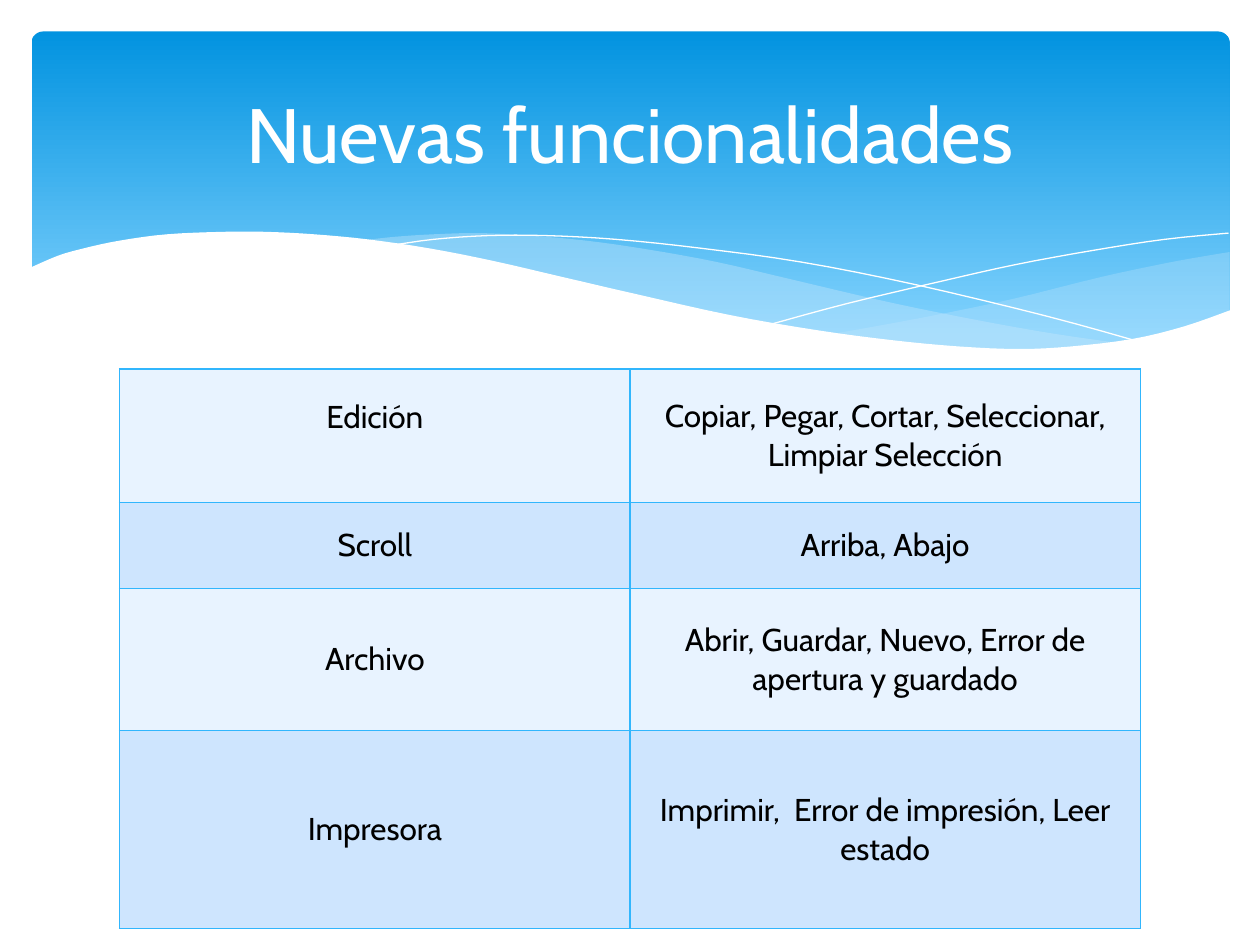
from dataclasses import dataclass

from lxml.etree import SubElement
from pptx import Presentation
from pptx.dml.color import RGBColor
from pptx.enum.shapes import MSO_SHAPE
from pptx.enum.text import MSO_ANCHOR, PP_ALIGN
from pptx.oxml.ns import qn
from pptx.util import Inches, Pt


@dataclass(frozen=True)
class Theme:
    font: str = "Cabin"
    title_size: int = 44
    cell_size: int = 18
    banner_top: str = "0293E0"
    banner_bottom: str = "83D3FE"
    wave: str = "C6E7FC"
    white: str = "FFFFFF"
    text: str = "000000"
    border: str = "31B6FD"
    bands: tuple = ("E8F3FF", "CEE5FE")


THEME = Theme()

# Curves as key points in inches
RIGHT_WAVE = [
    [(9.76, 2), (9.35, 2.07), (8.91, 2.16), (8.61, 2.23), (8.05, 2.37),
     (7.53, 2.48), (7.06, 2.57), (6.61, 2.65)],
    [(6.61, 2.65), (7.05, 2.71), (7.57, 2.76), (8.14, 2.78), (8.63, 2.75),
     (9.05, 2.69), (9.42, 2.59), (9.76, 2.47)],
]
MIDDLE_WAVE = [
    [(8.93, 2.73), (8.37, 2.65), (7.75, 2.54), (7.06, 2.4), (6.29, 2.22),
     (5.69, 2.08), (5.14, 1.98), (4.65, 1.91), (4.2, 1.87), (3.8, 1.85),
     (3.44, 1.86), (3.13, 1.88), (2.86, 1.91)],
    [(2.86, 1.91), (3.42, 1.99), (4.04, 2.11), (4.49, 2.22), (5.3, 2.4),
     (6.01, 2.55), (6.65, 2.66), (7.22, 2.74), (7.73, 2.77), (8.18, 2.78),
     (8.57, 2.77), (8.93, 2.73)],
]
FALLING_LINE = [
    [(3.09, 1.95), (3.44, 1.9), (3.87, 1.87), (4.33, 1.87), (4.89, 1.9),
     (5.56, 1.97), (6.36, 2.08), (7.27, 2.26), (8.31, 2.51), (9.07, 2.72)],
]
RISING_LINE = [
    [(6.13, 2.57), (6.72, 2.41), (7.48, 2.23), (8.06, 2.1), (8.66, 1.99),
     (9.24, 1.9), (9.75, 1.85)],
]
WHITE_WAVE = [
    [(9.77, 2.46), (9.4, 2.59), (8.99, 2.69), (8.5, 2.75), (8.09, 2.77),
     (7.61, 2.75), (7.08, 2.7), (6.48, 2.62), (5.79, 2.5), (5.03, 2.33),
     (4.47, 2.2), (3.91, 2.07), (3.4, 1.97), (2.92, 1.9), (2.5, 1.86),
     (2.11, 1.84), (1.77, 1.84), (1.32, 1.86), (0.95, 1.91), (0.67, 1.97),
     (0.46, 2.03), (0.23, 2.13)],
    [(0.23, 3.29), (9.77, 3.29)],
]

ROW_HEIGHTS = (1.06, 0.68, 1.13, 1.57)
FEATURES = (
    ("Edición", "Copiar, Pegar, Cortar, Seleccionar, Limpiar Selección"),
    ("Scroll", "Arriba, Abajo"),
    ("Archivo", "Abrir, Guardar, Nuevo, Error de apertura y guardado"),
    ("Impresora", "Imprimir,  Error de impresión, Leer estado"),
)


def rgb(value):
    return RGBColor.from_string(value)


def write_text(frame, text, *, size, color, align=PP_ALIGN.CENTER):
    paragraph = frame.paragraphs[0]
    paragraph.alignment = align
    run = paragraph.add_run()
    run.text = text
    run.font.name = THEME.font
    run.font.size = Pt(size)
    run.font.color.rgb = rgb(color)


def smooth(points, steps=4):
    """Catmull-Rom spline through the key points."""
    if len(points) < 3:
        return points
    padded = [points[0], *points, points[-1]]
    result = [points[0]]
    for a, b, c, d in zip(padded, padded[1:], padded[2:], padded[3:]):
        for step in range(1, steps + 1):
            t = step / steps
            result.append(tuple(
                0.5 * (2 * q + (r - p) * t + (2 * p - 5 * q + 4 * r - s) * t ** 2
                       + (3 * q - p - 3 * r + s) * t ** 3)
                for p, q, r, s in zip(a, b, c, d)))
    return result


def add_curve(slide, curves, *, fill=None, opacity=100, line=None):
    points = [(Inches(x), Inches(y)) for curve in curves for x, y in smooth(curve)]
    builder = slide.shapes.build_freeform(*points[0])
    builder.add_line_segments(points[1:], close=fill is not None)
    shape = builder.convert_to_shape()
    shape.shadow.inherit = False
    if fill:
        shape.fill.solid()
        shape.fill.fore_color.rgb = rgb(fill)
        color = shape.fill._xPr.find(qn("a:solidFill"))[0]
        SubElement(color, qn("a:alpha"), val=str(opacity * 1000))
    else:
        shape.fill.background()
    if line:
        shape.line.color.rgb = rgb(line)
        shape.line.width = Pt(0)
    else:
        shape.line.fill.background()


def add_banner(slide):
    banner = slide.shapes.add_shape(
        MSO_SHAPE.ROUNDED_RECTANGLE,
        Inches(0.25), Inches(0.25), Inches(9.51), Inches(2.7))
    banner.adjustments[0] = 0.034
    banner.shadow.inherit = False
    banner.line.fill.background()
    banner.fill.gradient()
    banner.fill.gradient_angle = 270
    stops = ((0, THEME.banner_top), (0.9, THEME.banner_bottom))
    for stop, (position, color) in zip(banner.fill.gradient_stops, stops):
        stop.position = position
        stop.color.rgb = rgb(color)


def add_title(slide, text):
    title = slide.shapes.title
    title.left, title.top = Inches(0.5), Inches(0.37)
    title.width, title.height = Inches(9), Inches(1.37)
    title.text_frame.vertical_anchor = MSO_ANCHOR.MIDDLE
    write_text(title.text_frame, text, size=THEME.title_size, color=THEME.white)
    # Bring the title in front of the banner
    slide.shapes._spTree.append(title._element)


def set_borders(cell):
    properties = cell._tc.get_or_add_tcPr()
    for index, side in enumerate(("lnL", "lnR", "lnT", "lnB")):
        border = SubElement(properties, qn(f"a:{side}"), w=str(Pt(1)))
        fill = SubElement(border, qn("a:solidFill"))
        SubElement(fill, qn("a:srgbClr"), val=THEME.border)
        properties.insert(index, border)


def add_feature_table(slide):
    table = slide.shapes.add_table(
        len(FEATURES), 2, Inches(0.95), Inches(2.93),
        Inches(8.1), Inches(sum(ROW_HEIGHTS))).table
    table.first_row = table.horz_banding = False
    for row_index, (height, texts) in enumerate(zip(ROW_HEIGHTS, FEATURES)):
        table.rows[row_index].height = Inches(height)
        for column_index, text in enumerate(texts):
            cell = table.cell(row_index, column_index)
            cell.vertical_anchor = MSO_ANCHOR.MIDDLE
            cell.margin_left = cell.margin_right = Inches(0.09)
            cell.margin_top = cell.margin_bottom = Inches(0.05)
            cell.fill.solid()
            cell.fill.fore_color.rgb = rgb(THEME.bands[row_index % 2])
            set_borders(cell)
            write_text(cell.text_frame, text,
                       size=THEME.cell_size, color=THEME.text)
    # Align the first label with the first line beside it
    table.cell(0, 0).margin_bottom = Inches(0.35)


def main():
    presentation = Presentation()
    presentation.slide_width, presentation.slide_height = Inches(10), Inches(7.5)
    slide = presentation.slides.add_slide(presentation.slide_layouts[5])

    # Banner with waves
    add_banner(slide)
    add_curve(slide, RIGHT_WAVE, fill=THEME.wave, opacity=29)
    add_curve(slide, MIDDLE_WAVE, fill=THEME.wave, opacity=40)
    for curves in (FALLING_LINE, RISING_LINE):
        add_curve(slide, curves, line=THEME.white)
    add_curve(slide, WHITE_WAVE, fill=THEME.white)

    # Content
    add_feature_table(slide)
    add_title(slide, "Nuevas funcionalidades")
    presentation.save("out.pptx")


main()
